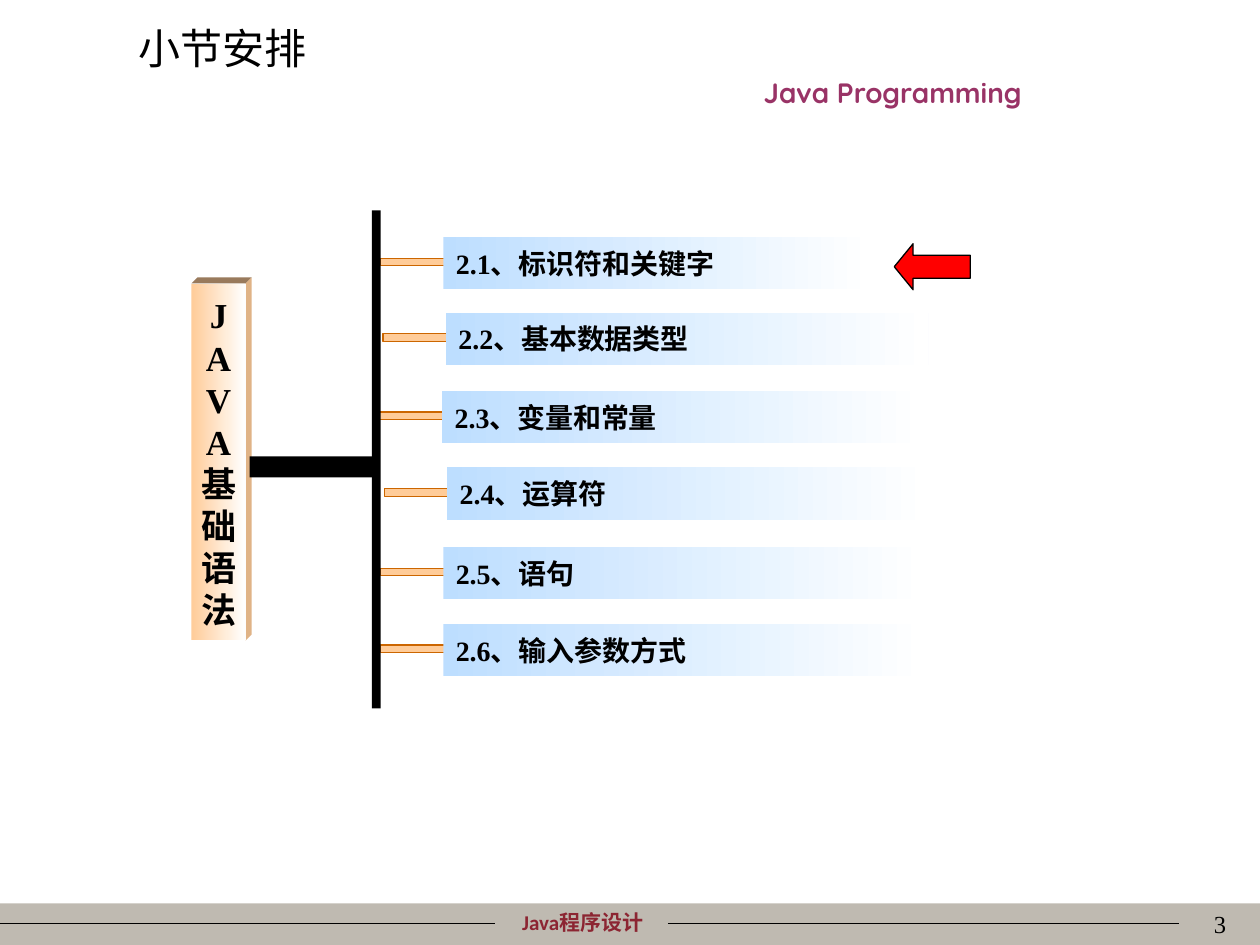
"""Build the section overview slide of a Java course."""
from lxml.etree import SubElement
from pptx import Presentation
from pptx.dml.color import RGBColor
from pptx.enum.shapes import MSO_CONNECTOR as Link, MSO_SHAPE as Kind
from pptx.enum.text import MSO_ANCHOR as Anchor, MSO_AUTO_SIZE as Fit, PP_ALIGN as Align
from pptx.oxml.ns import qn
from pptx.util import Pt

SERIF = "Times New Roman"
HAN = "Noto Sans CJK SC"
ROWS = [
    ("2.1、标识符和关键字", 253.4, 135.4, 245.5),
    ("2.2、基本数据类型", 254.9, 178.6, 275.8),
    ("2.3、变量和常量", 252.7, 223.2, 275.8),
    ("2.4、运算符", 255.6, 267.1, 275.8),
    ("2.5、语句", 253.4, 312.5, 275.8),
    ("2.6、输入参数方式", 253.4, 356.4, 275.8),
]


def tint(code):
    return RGBColor.from_string(code)


def write(shape, text, size=16, font=SERIF, color="000000", bold=False,
          align=Align.LEFT, anchor=Anchor.MIDDLE, side=7.2):
    frame = shape.text_frame
    frame.word_wrap = True
    frame.auto_size = Fit.NONE
    frame.vertical_anchor = anchor
    frame.margin_left = frame.margin_right = Pt(side)
    frame.margin_top = frame.margin_bottom = Pt(3.6)
    frame.text = text
    for para in frame.paragraphs:
        para.alignment = align
        for run in para.runs:
            run.font.size = Pt(size)
            run.font.bold = bold
            run.font.color.rgb = tint(color)
            run.font.name = font
            SubElement(run.font._element, qn("a:ea"), typeface=HAN)


class Deck:
    def __init__(self, wide, high):
        self.file = Presentation()
        self.file.slide_width, self.file.slide_height = Pt(wide), Pt(high)
        self.slide = self.file.slides.add_slide(self.file.slide_layouts[5])
        self.shapes = self.slide.shapes

    def paint(self, shape, fill, edge=None):
        shape.shadow.inherit = False
        if isinstance(fill, tuple):
            shape.fill.gradient()
            shape.fill.gradient_angle = 0
            for stop, code in zip(shape.fill.gradient_stops, fill):
                stop.color.rgb = tint(code)
        else:
            shape.fill.solid()
            shape.fill.fore_color.rgb = tint(fill)
        if edge:
            shape.line.color.rgb = tint(edge)
            shape.line.width = Pt(0.75)
        else:
            shape.line.fill.background()
        return shape

    def block(self, x, y, w, h, fill, edge=None, kind=Kind.RECTANGLE):
        shape = self.shapes.add_shape(kind, Pt(x), Pt(y), Pt(w), Pt(h))
        return self.paint(shape, fill, edge)

    def face(self, dots, fill):
        first, *rest = [(Pt(x), Pt(y)) for x, y in dots]
        pen = self.shapes.build_freeform(*first, scale=1.0)
        pen.add_line_segments(rest, close=True)
        return self.paint(pen.convert_to_shape(), fill)

    def line(self, x, y, end):
        rule = self.shapes.add_connector(Link.STRAIGHT, Pt(x), Pt(y), Pt(end), Pt(y))
        rule.line.color.rgb = tint("000000")
        rule.line.width = Pt(0.75)
        SubElement(rule._element.spPr, qn("a:effectLst"))

    def label(self, x, y, w, h, text, **style):
        box = self.shapes.add_textbox(Pt(x), Pt(y), Pt(w), Pt(h))
        write(box, text, anchor=Anchor.TOP, **style)

    def title(self, x, y, w, h, text, **style):
        head = self.shapes.title
        head.left, head.top, head.width, head.height = Pt(x), Pt(y), Pt(w), Pt(h)
        write(head, text, **style)

    def footer(self):
        self.block(0, 516.2, 720, 23.8, "BFBAB1")
        self.label(260.6, 516.2, 144.7, 21.6, "Java程序设计", size=12,
                   font="Calibri", color="8C2532", bold=True, align=Align.CENTER)
        self.line(0, 527.8, 283)
        self.line(381.6, 527.8, 673.9)
        self.label(558, 516.2, 149.8, 36, "3", size=14, align=Align.RIGHT)

    def pillar(self, x, y, w, h, deep, text):
        right, base = x + w, y + h
        self.face([(x, y), (x + deep, y - deep), (right + deep, y - deep),
                   (right, y)], "997A5C")
        self.face([(right, y), (right + deep, y - deep),
                   (right + deep, base - deep), (right, base)], "E0B386")
        front = self.block(x, y, w, h, ("FFCC99", "FFFFFF"))
        write(front, text, size=20, bold=True, align=Align.CENTER, side=3.6)

    def entry(self, text, x, y, w):
        self.block(x - 36, y + 12.2, 36.7, 4.3, "FFCC99", "CC6600")
        bar = self.block(x, y, w, 30, ("BDDEFF", "FFFFFF"))
        write(bar, text, bold=True, align=Align.JUSTIFY)


def main():
    deck = Deck(720, 540)
    deck.footer()
    deck.label(365.8, 39.6, 288.7, 26.6, "Java Programming", font="Quicksand",
               color="993366", bold=True, align=Align.CENTER)
    deck.title(72, 9.4, 205.2, 36, "小节安排", size=24, font=HAN)
    deck.pillar(109.4, 162, 31, 204, 3.4, "J\nA\nV\nA\n基础语法")
    for row in ROWS:
        deck.entry(*row)
    deck.block(142.6, 260.8, 72, 12, "000000")
    deck.block(212.6, 120.2, 5, 284.6, "000000")
    arrow = deck.block(511, 139.3, 43.4, 26.3, "FF0000", "000000", Kind.LEFT_ARROW)
    arrow.adjustments[0], arrow.adjustments[1] = 0.5, 0.41
    deck.file.save("out.pptx")


if __name__ == "__main__":
    main()
